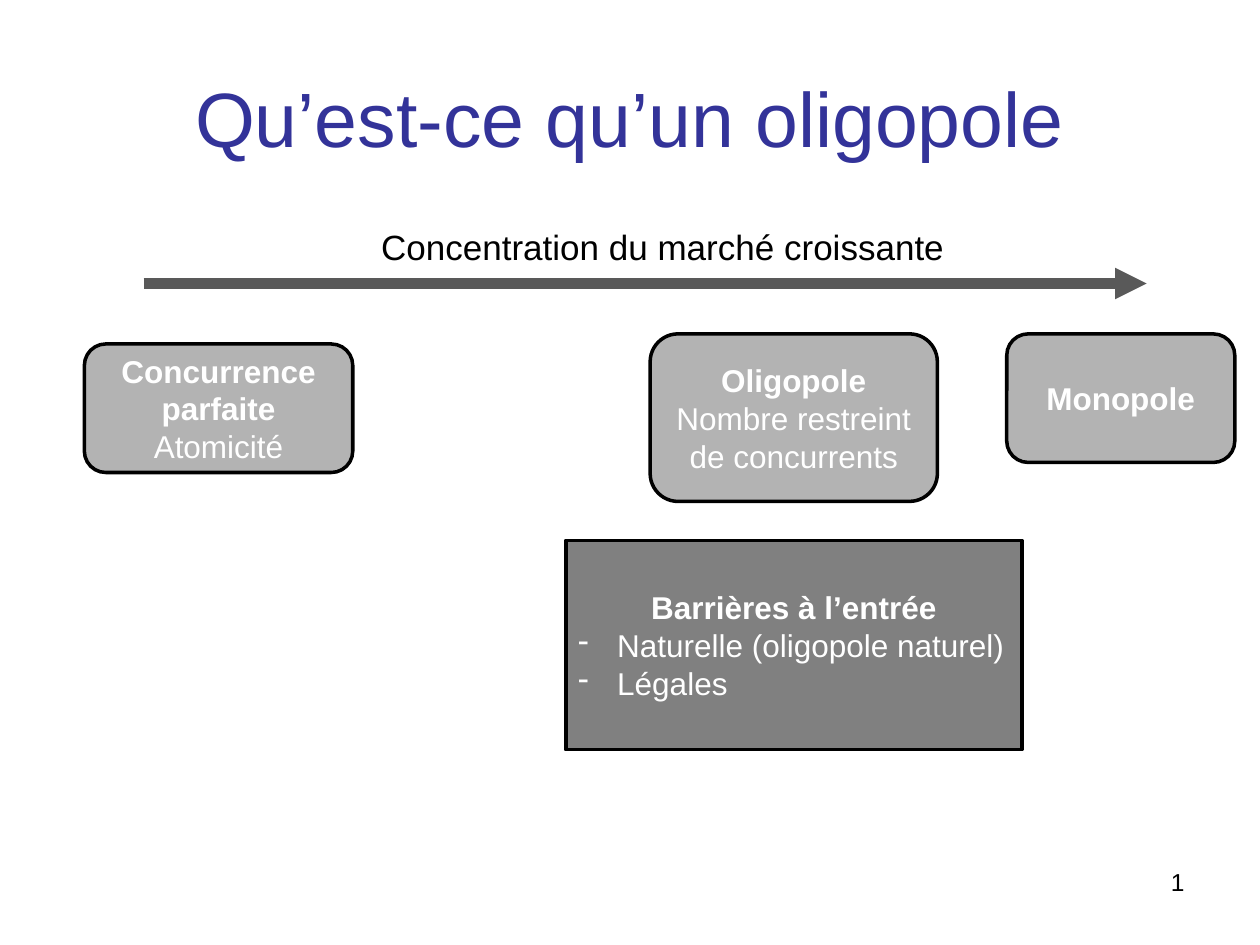
from lxml.etree import SubElement
from pptx import Presentation
from pptx.dml.color import RGBColor
from pptx.enum.shapes import MSO_CONNECTOR, MSO_SHAPE
from pptx.enum.text import MSO_ANCHOR, PP_ALIGN
from pptx.oxml.ns import qn
from pptx.util import Inches, Pt

FONT = "Arial"
BLACK, WHITE = "000000", "FFFFFF"
LIGHT_GRAY, MID_GRAY, DARK_GRAY = "B3B3B3", "808080", "595959"
TITLE_BLUE = "333399"


def rgb(value):
    return RGBColor.from_string(value)


def format_paragraph(paragraph, size, color, bold=False, align=PP_ALIGN.CENTER):
    paragraph.alignment = align
    font = paragraph.font
    font.name = FONT
    font.size = Pt(size)
    font.bold = bold
    font.color.rgb = rgb(color)


def add_dash(paragraph):
    """Give the paragraph a dash bullet with a hanging indent."""
    properties = paragraph._p.get_or_add_pPr()
    properties.set("marL", str(Inches(0.31)))
    properties.set("indent", str(-Inches(0.31)))
    SubElement(properties, qn("a:buChar"), char="-")


def add_title(slide, text):
    title = slide.shapes.title
    title.left, title.top = Inches(0.5), Inches(0.3)
    title.width, title.height = Inches(9), Inches(1.25)
    title.text_frame.text = text
    title.text_frame.vertical_anchor = MSO_ANCHOR.MIDDLE
    format_paragraph(title.text_frame.paragraphs[0], 44, TITLE_BLUE)


def add_slide_number(slide, text):
    box = slide.shapes.add_textbox(Inches(7.17), Inches(6.83), Inches(2.33), Inches(0.52))
    box.text_frame.word_wrap = True
    box.text_frame.text = text
    format_paragraph(box.text_frame.paragraphs[0], 14, BLACK, align=PP_ALIGN.RIGHT)


def add_arrow(slide, left, right, y):
    arrow = slide.shapes.add_connector(
        MSO_CONNECTOR.STRAIGHT, Inches(left), Inches(y), Inches(right), Inches(y))
    arrow.line.color.rgb = rgb(DARK_GRAY)
    arrow.line.width = Pt(6)
    SubElement(arrow.line._get_or_add_ln(), qn("a:tailEnd"), type="triangle")
    SubElement(arrow._element.spPr, qn("a:effectLst"))


def add_box(slide, position, fill, line, preset=MSO_SHAPE.ROUNDED_RECTANGLE):
    shape = slide.shapes.add_shape(preset, *(Inches(value) for value in position))
    shape.shadow.inherit = False
    shape.fill.solid()
    shape.fill.fore_color.rgb = rgb(fill)
    shape.line.color.rgb = rgb(line)
    shape.line.width = Pt(2)
    shape.text_frame.word_wrap = True
    shape.text_frame.vertical_anchor = MSO_ANCHOR.MIDDLE
    return shape.text_frame


def add_market_box(slide, position, heading, details=(), fill=LIGHT_GRAY,
                   preset=MSO_SHAPE.ROUNDED_RECTANGLE, dashed=False):
    """Add a box with a bold heading over plain or dashed detail lines."""
    frame = add_box(slide, position, fill, BLACK, preset)
    frame.text = heading
    format_paragraph(frame.paragraphs[0], 18, WHITE, bold=True)
    for detail in details:
        paragraph = frame.add_paragraph()
        paragraph.text = detail
        if dashed:
            add_dash(paragraph)
        format_paragraph(paragraph, 18, WHITE,
                         align=PP_ALIGN.LEFT if dashed else PP_ALIGN.CENTER)


def main():
    presentation = Presentation()
    presentation.slide_width, presentation.slide_height = Inches(10), Inches(7.5)
    slide = presentation.slides.add_slide(presentation.slide_layouts[5])

    add_slide_number(slide, "1")
    add_title(slide, "Qu’est-ce qu’un oligopole")
    add_arrow(slide, 1.14, 9.1, 2.25)

    caption = add_box(slide, (2.8, 1.72, 4.92, 0.47), WHITE, WHITE)
    caption.text = "Concentration du marché croissante"
    format_paragraph(caption.paragraphs[0], 20, BLACK)

    add_market_box(slide, (0.67, 2.73, 2.13, 1.02), "Concurrence parfaite", ["Atomicité"])
    add_market_box(slide, (7.99, 2.65, 1.81, 1.02), "Monopole")
    add_market_box(slide, (5.16, 2.65, 2.28, 1.33), "Oligopole",
                   ["Nombre restreint de concurrents"])
    add_market_box(slide, (4.49, 4.29, 3.62, 1.66), "Barrières à l’entrée",
                   ["Naturelle (oligopole naturel)", "Légales"],
                   fill=MID_GRAY, preset=MSO_SHAPE.RECTANGLE, dashed=True)

    presentation.save("out.pptx")


if __name__ == "__main__":
    main()
